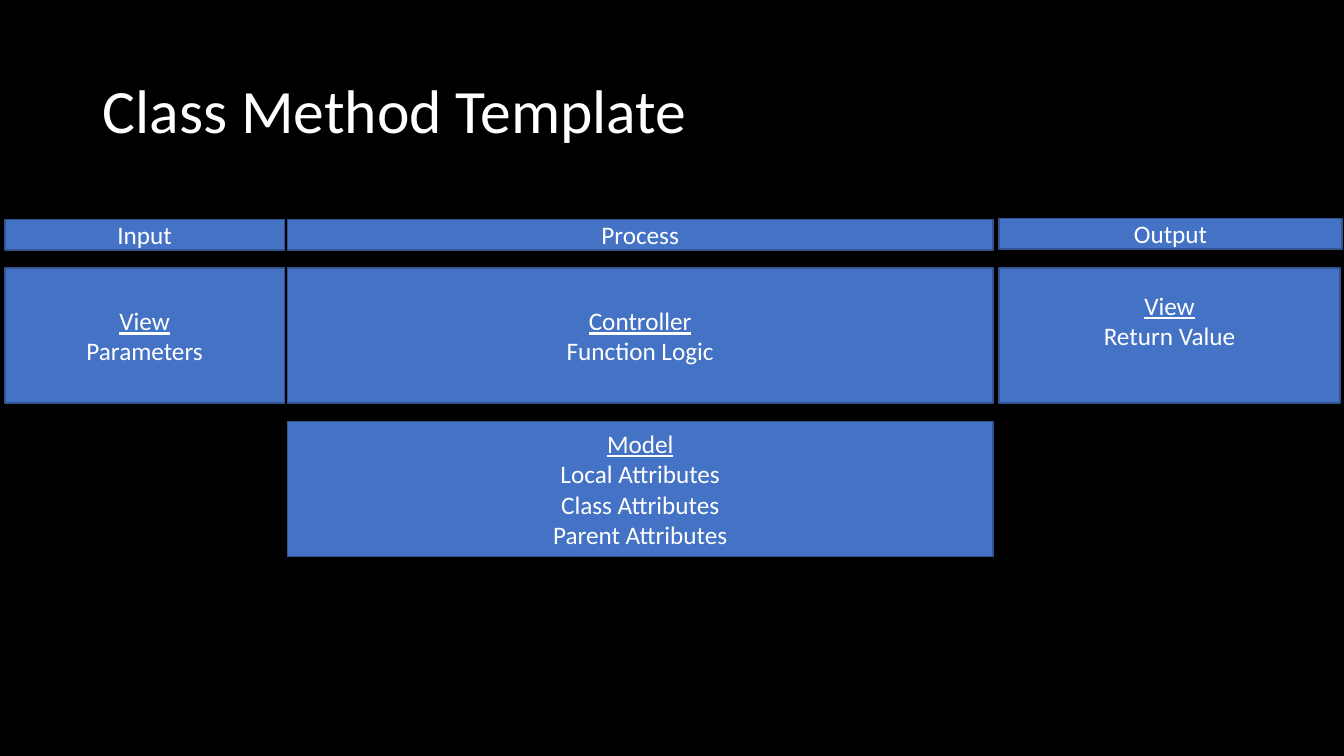
from dataclasses import dataclass

from pptx import Presentation
from pptx.dml.color import RGBColor
from pptx.enum.shapes import MSO_SHAPE
from pptx.enum.text import MSO_ANCHOR, PP_ALIGN
from pptx.util import Inches, Pt


@dataclass(frozen=True)
class Theme:
    background: RGBColor = RGBColor.from_string("000000")
    fill: RGBColor = RGBColor.from_string("4472C4")
    outline: RGBColor = RGBColor.from_string("325491")
    text: RGBColor = RGBColor.from_string("FFFFFF")
    font: str = "Calibri"
    title_size: Pt = Pt(44)
    body_size: Pt = Pt(18)


theme = Theme()


def style_paragraph(paragraph, text, size, underline=False):
    paragraph.text = text
    paragraph.font.name = theme.font
    paragraph.font.size = size
    paragraph.font.color.rgb = theme.text
    paragraph.font.underline = underline


def add_box(left, top, width, height, lines, underline_first=False):
    box = slide.shapes.add_shape(
        MSO_SHAPE.RECTANGLE, Inches(left), Inches(top), Inches(width), Inches(height)
    )
    box.shadow.inherit = False
    box.fill.solid()
    box.fill.fore_color.rgb = theme.fill
    box.line.color.rgb = theme.outline
    box.line.width = Pt(1)
    frame = box.text_frame
    frame.word_wrap = True
    frame.vertical_anchor = MSO_ANCHOR.MIDDLE
    for index, line in enumerate(lines):
        paragraph = frame.add_paragraph() if index else frame.paragraphs[0]
        style_paragraph(paragraph, line, theme.body_size, underline_first and index == 0)
        paragraph.alignment = PP_ALIGN.CENTER
    return box


deck = Presentation()
deck.slide_width = Inches(13.33)
deck.slide_height = Inches(7.5)
slide = deck.slides.add_slide(deck.slide_layouts[6])
slide.background.fill.solid()
slide.background.fill.fore_color.rgb = theme.background

title = slide.shapes.add_textbox(Inches(0.92), Inches(0.4), Inches(11.5), Inches(1.45))
title.text_frame.word_wrap = True
title.text_frame.vertical_anchor = MSO_ANCHOR.MIDDLE
title_paragraph = title.text_frame.paragraphs[0]
style_paragraph(title_paragraph, "Class Method Template", theme.title_size)
title_paragraph.line_spacing = 0.9

process_left, process_width = 2.85, 7
input_left, input_width = 0.05, 2.77
output_left, output_width = 9.91, 3.38
header_height, part_height = 0.3, 1.34
part_top, model_top = 2.66, 4.18

headers = [
    ("Process", process_left, 2.18, process_width),
    ("Input", input_left, 2.18, input_width),
    ("Output", output_left, 2.17, 3.4),
]
for label, left, top, width in headers:
    add_box(left, top, width, header_height, [label])

parts = [
    (process_left, part_top, process_width, ["Controller", "Function Logic"]),
    (input_left, part_top, input_width, ["View", "Parameters"]),
    (output_left, part_top, output_width, ["View", "Return Value"]),
    (process_left, model_top, process_width,
     ["Model", "Local Attributes", "Class Attributes", "Parent Attributes"]),
]
for left, top, width, lines in parts:
    part_box = add_box(left, top, width, part_height, lines, underline_first=True)
    if left == output_left:
        part_box.text_frame.margin_bottom = Inches(0.35)

deck.save("out.pptx")
